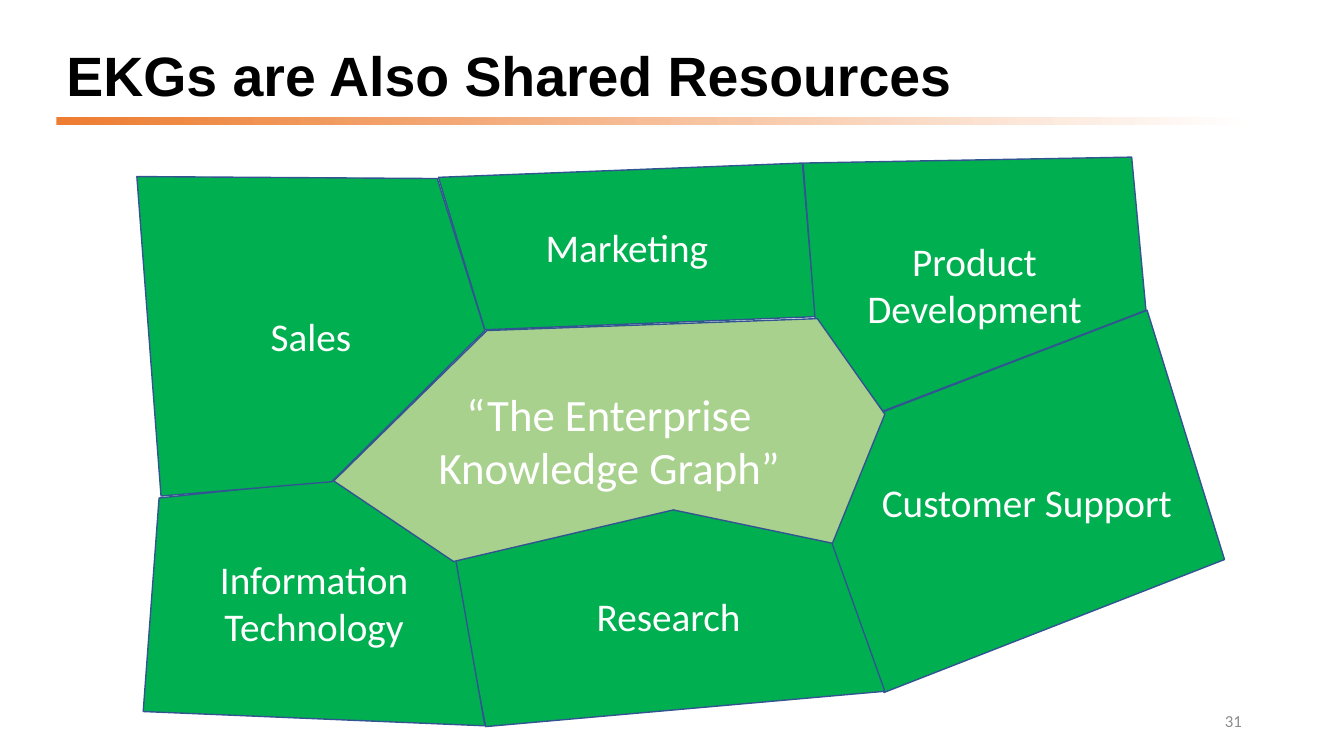
from pptx import Presentation
from pptx.dml.color import RGBColor
from pptx.enum.shapes import MSO_SHAPE
from pptx.enum.text import MSO_ANCHOR, MSO_AUTO_SIZE, PP_ALIGN
from pptx.util import Cm, Pt

BLACK = RGBColor(0x00, 0x00, 0x00)
WHITE = RGBColor(0xFF, 0xFF, 0xFF)
GRAY = RGBColor(0x8C, 0x8C, 0x8C)
ORANGE = RGBColor(0xED, 0x7D, 0x31)
GREEN = RGBColor(0x00, 0xB0, 0x50)
LIGHT_GREEN = RGBColor(0xA9, 0xD1, 0x8E)
OUTLINE = RGBColor(0x32, 0x54, 0x91)

# Departments around the graph: label and corners in cm
DEPARTMENTS = [
    ("Marketing",
     [(11.05, 4.47), (20.22, 4.11), (20.55, 7.98), (12.22, 8.31)]),
    ("Product Development",
     [(20.24, 4.11), (28.52, 3.96), (28.88, 7.82), (22.25, 10.36), (20.55, 8.13)]),
    ("Customer Support",
     [(22.23, 10.39), (28.91, 7.82), (30.86, 14.1), (22.28, 17.45), (20.9, 13.67)]),
    ("Research",
     [(16.97, 12.75), (20.96, 13.67), (22.3, 17.42), (12.24, 18.31), (11.4, 14.02)]),
    ("Information\nTechnology",
     [(8.38, 12.09), (11.48, 14.07), (12.22, 18.29), (3.61, 17.93), (4.01, 12.55)]),
    ("Sales",
     [(11.02, 4.5), (12.22, 8.33), (8.36, 12.14), (4.06, 12.5), (3.45, 4.45)]),
]
GRAPH_CORNERS = [(12.27, 8.33), (20.6, 8.03), (22.3, 10.44), (20.98, 13.69),
                 (16.97, 12.85), (11.43, 14.15), (8.41, 12.12)]


class SlideBuilder:
    """Holds the current slide and its text style."""

    body_font = "Calibri"
    title_font = "Arial"

    def __init__(self, slide):
        self.s = slide

    def set_text(self, sp, text, size, color, align, font=body_font, bold=False):
        tf = sp.text_frame
        tf.text = text
        tf.word_wrap = True
        tf.auto_size = MSO_AUTO_SIZE.NONE
        tf.vertical_anchor = MSO_ANCHOR.MIDDLE
        for p in tf.paragraphs:
            p.alignment = align
            for r in p.runs:
                r.font.name = font
                r.font.size = Pt(size)
                r.font.bold = bold
                r.font.color.rgb = color

    def title(self, text, left, top, width, height):
        sp = self.s.shapes.title
        sp.left, sp.top, sp.width, sp.height = map(Cm, (left, top, width, height))
        self.set_text(sp, text, 39.6, BLACK, PP_ALIGN.LEFT, self.title_font, True)
        sp.text_frame.paragraphs[0].line_spacing = 0.9

    def gradient_bar(self, left, top, width, height, start, end):
        sp = self.s.shapes.add_shape(
            MSO_SHAPE.RECTANGLE, *map(Cm, (left, top, width, height)))
        sp.shadow.inherit = False
        sp.line.fill.background()
        sp.fill.gradient()
        sp.fill.gradient_angle = 0
        for stop, color in zip(sp.fill.gradient_stops, (start, end)):
            stop.color.rgb = color

    def page_number(self, text, left, top, width, height):
        sp = self.s.shapes.add_textbox(*map(Cm, (left, top, width, height)))
        self.set_text(sp, text, 12, GRAY, PP_ALIGN.RIGHT)

    def region(self, text, corners, fill, size):
        points = [(Cm(x), Cm(y)) for x, y in corners]
        outline = self.s.shapes.build_freeform(*points[0])
        outline.add_line_segments(points[1:], close=True)
        sp = outline.convert_to_shape()
        sp.shadow.inherit = False
        sp.fill.solid()
        sp.fill.fore_color.rgb = fill
        sp.line.color.rgb = OUTLINE
        sp.line.width = Pt(1)
        self.set_text(sp, text, size, WHITE, PP_ALIGN.CENTER)


def main():
    prs = Presentation()
    prs.slide_width, prs.slide_height = Cm(33.87), Cm(19.05)
    b = SlideBuilder(prs.slides.add_slide(prs.slide_layouts[5]))

    # Heading and page number
    b.gradient_bar(1.42, 2.95, 30.12, 0.2, ORANGE, WHITE)
    b.title("EKGs are Also Shared Resources", 1.42, 1.02, 29.21, 1.93)
    b.page_number("31", 23.93, 17.65, 7.62, 1.02)

    # Departments, with the shared graph in the middle
    for label, corners in DEPARTMENTS:
        b.region(label, corners, GREEN, 28)
    b.region("“The Enterprise\nKnowledge Graph”", GRAPH_CORNERS, LIGHT_GREEN, 32)

    prs.save("out.pptx")


if __name__ == "__main__":
    main()
